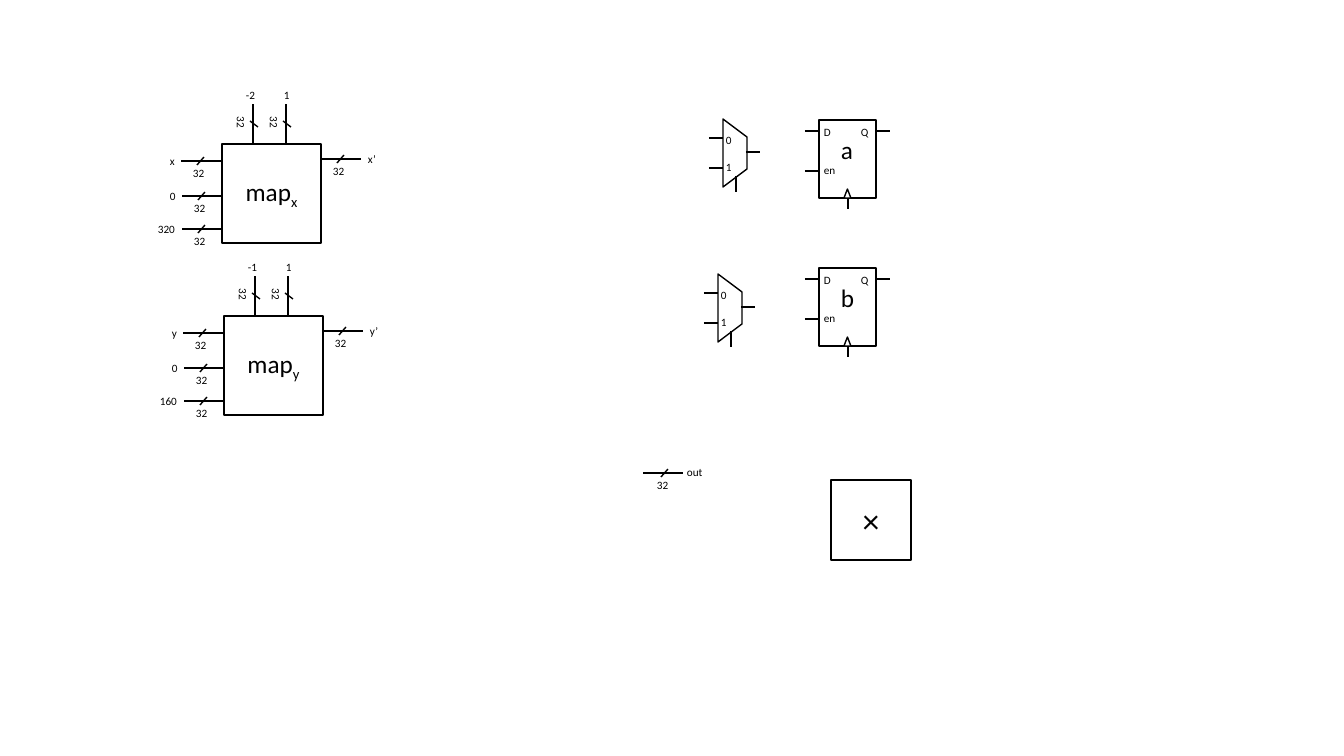
import pptx
import pptx.dml.color
import pptx.enum.shapes
import pptx.enum.text
import pptx.oxml.ns
import pptx.util
from lxml import etree

EMU_PER_PIXEL = 914400 / 100.8
BLACK = pptx.dml.color.RGBColor(0x00, 0x00, 0x00)
WHITE = pptx.dml.color.RGBColor(0xFF, 0xFF, 0xFF)
SHAPE = pptx.enum.shapes.MSO_SHAPE
LABEL_HEIGHT = 24
BUS_LENGTH = 40
STUB = 14


def emu(pixels):
    """Turn pixels into EMU."""
    return pptx.util.Emu(round(pixels * EMU_PER_PIXEL))


class Diagram:
    """Holds the style, the slide and the group that is being filled."""

    font_name = "Calibri"
    label_size = 8
    name_size = 18
    line_width = 1

    def __init__(self, slide):
        """Start drawing directly on the slide."""
        self.slide = slide
        self.place()

    def place(self):
        """Draw the next elements ungrouped, in slide coordinates."""
        self.shapes = self.slide.shapes
        self.left = self.top = 0

    def place_group(self, left, top):
        """Draw the next elements in a new group with its own origin."""
        self.shapes = self.slide.shapes.add_group_shape().shapes
        self.left, self.top = left, top

    def frame(self, left, top, width, height):
        """Return a frame in EMU relative to the current origin."""
        return emu(self.left + left), emu(self.top + top), emu(width), emu(height)

    def format_text(self, paragraph, size):
        """Give every run of a paragraph the diagram's font."""
        for run in paragraph.runs:
            run.font.name = self.font_name
            run.font.size = pptx.util.Pt(size)
            run.font.color.rgb = BLACK

    def outline(self, kind, left, top, width, height):
        """Add a white shape with a black outline."""
        shape = self.shapes.add_shape(kind, *self.frame(left, top, width, height))
        shape.shadow.inherit = False
        shape.fill.solid()
        shape.fill.fore_color.rgb = WHITE
        shape.line.color.rgb = BLACK
        shape.line.width = pptx.util.Pt(self.line_width)
        return shape

    def box(self, left, top, side, text, size, subscript=""):
        """Add a square block with a centred name and optional subscript."""
        shape = self.outline(SHAPE.RECTANGLE, left, top, side, side)
        shape.text_frame.vertical_anchor = pptx.enum.text.MSO_ANCHOR.MIDDLE
        paragraph = shape.text_frame.paragraphs[0]
        paragraph.text = text
        paragraph.alignment = pptx.enum.text.PP_ALIGN.CENTER
        if subscript:
            run = paragraph.add_run()
            run.text = subscript
            run._r.get_or_add_rPr().set("baseline", "-25000")
        self.format_text(paragraph, size)

    def label(self, text, left, top, width, height=LABEL_HEIGHT, size=label_size):
        """Add a text box."""
        text_box = self.shapes.add_textbox(*self.frame(left, top, width, height))
        text_box.text_frame.word_wrap = True
        text_box.text_frame.text = text
        for paragraph in text_box.text_frame.paragraphs:
            self.format_text(paragraph, size)
        return text_box

    def line(self, x1, y1, x2, y2):
        """Add a straight black wire."""
        connector = self.shapes.add_connector(
            pptx.enum.shapes.MSO_CONNECTOR.STRAIGHT,
            *self.frame(x1, y1, 0, 0)[:2], *self.frame(x2, y2, 0, 0)[:2])
        connector.line.color.rgb = BLACK
        connector.line.width = pptx.util.Pt(self.line_width)
        properties = connector._element.spPr
        etree.SubElement(properties, pptx.oxml.ns.qn("a:effectLst"))

    def bus(self, left, y, shift=0):
        """Add a horizontal 32-bit bus; shift moves its slash and width."""
        self.line(left + BUS_LENGTH, y, left, y)
        self.line(left + shift + 23, y - 4, left + shift + 16, y + 4)
        self.label("32", left + shift + 2, y, 34)

    def vertical_bus(self, x):
        """Add a 32-bit bus that enters a block from above."""
        self.line(x, 0, x, -BUS_LENGTH)
        self.line(x + 5, -17, x - 3, -23)
        self.label("32", x - 29, -32, 34).rotation = 90

    def register(self, left, top, name):
        """Add a clocked register with an enable input."""
        self.place_group(left, top)
        self.outline(SHAPE.RECTANGLE, 0, 0, 57, 78)
        self.outline(SHAPE.ISOSCELES_TRIANGLE, 25, 69, 7, 9)
        for pin, pin_left, pin_top, width in (
                ("D", -5, 0, 25), ("Q", 32, 0, 25), ("en", -5, 38, 37)):
            self.label(pin, pin_left, pin_top, width)
        for x, y in ((-STUB, 11), (-STUB, 51), (57, 11)):
            self.line(x, y, x + STUB, y)
        self.line(29, 78, 29, 89)
        self.label(name, 12, 9, 42, 40, self.name_size)

    def multiplexer(self, left, top):
        """Add a two-way multiplexer."""
        self.place_group(left, top)
        body = self.outline(SHAPE.TRAPEZOID, -22, 21, 68, 24)
        body.adjustments[0] = 0.75
        body.rotation = 90
        choices = self.label("0\n1", -7, 8, 25, 50)
        choices.text_frame.paragraphs[1].space_before = pptx.util.Pt(9.75)
        for x, y in ((-STUB, 18), (-STUB, 48), (23, 32)):
            self.line(x, y, x + STUB, y)
        self.line(13, 72, 13, 56)

    def mapper(self, left, top, axis, low, high):
        """Add a block that maps one axis from 0..high to low..1."""
        self.place_group(left, top)
        self.box(0, 0, 99, "map", self.name_size, axis)
        for text, bus_left, y, text_left in (
                (axis, -41, 17, -62), ("0", -40, 52, -62), (high, -40, 85, -74)):
            self.bus(bus_left, y)
            self.label(text, text_left, y - 12, 62)
        for text, x, text_left in ((low, 31, 14), ("1", 64, 52)):
            self.vertical_bus(x)
            self.label(text, text_left, -61, 33)
        self.bus(99, 15)
        self.label(axis + "’", 136, 3, 34)


def main():
    """Build the slide and save it."""
    presentation = pptx.Presentation()
    presentation.slide_width = emu(1344)
    presentation.slide_height = emu(756)
    slide = presentation.slides.add_slide(presentation.slide_layouts[6])
    diagram = Diagram(slide)

    diagram.register(819, 120, "a")
    diagram.register(819, 268, "b")
    diagram.multiplexer(723, 120)
    diagram.multiplexer(718, 275)
    diagram.mapper(222, 144, "x", "-2", "320")
    diagram.mapper(224, 316, "y", "-1", "160")

    diagram.place()
    diagram.box(831, 480, 80, "×", 24)
    diagram.bus(643, 473, shift=2)
    diagram.label("out", 677, 460, 40)

    presentation.save("out.pptx")


main()
